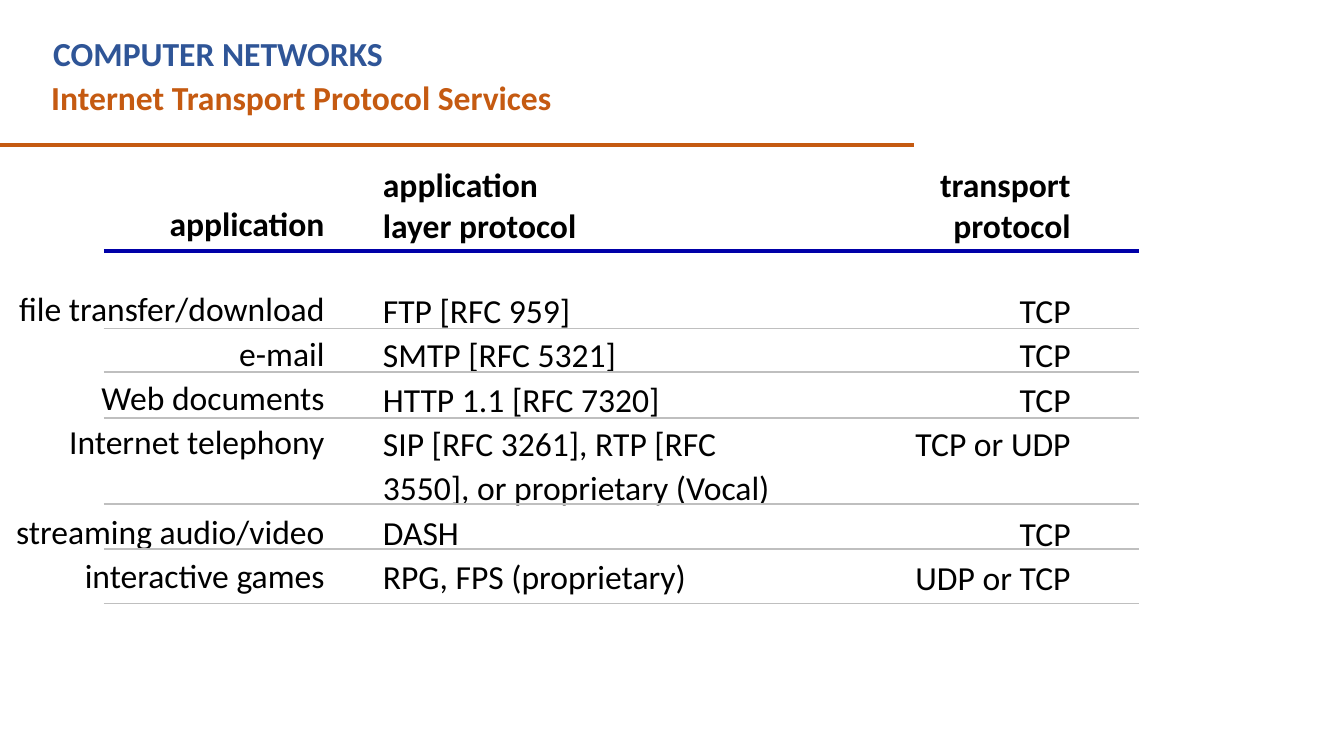
from pptx import Presentation
from pptx.dml.color import RGBColor
from pptx.enum.shapes import MSO_CONNECTOR
from pptx.enum.text import MSO_ANCHOR, MSO_AUTO_SIZE, PP_ALIGN
from pptx.oxml.ns import qn
from pptx.util import Cm, Pt
from lxml.etree import SubElement

COLORS = {"course": "2F5597", "accent": "C55A11", "text": "000000",
          "header_rule": "0000A8", "row_rule": "BFBFBF"}
HEADER_LINE = 29.3
ENTRY_SPACING = 1.1
ENTRY_LINE = HEADER_LINE * ENTRY_SPACING


def fill_placeholder(placeholder, box, lines, align=PP_ALIGN.LEFT):
    placeholder.left, placeholder.top, placeholder.width, placeholder.height = map(Cm, box)
    frame = placeholder.text_frame
    frame.word_wrap = True
    frame.auto_size = MSO_AUTO_SIZE.NONE
    frame.vertical_anchor = MSO_ANCHOR.TOP
    frame.margin_left = frame.margin_right = Cm(0.25)
    frame.margin_top = frame.margin_bottom = Cm(0.13)
    frame.text = "\n".join(text for text, *_ in lines)
    for paragraph, (_, bold, color, spacing, gap) in zip(frame.paragraphs, lines):
        properties = paragraph._p.get_or_add_pPr()
        properties.set("marL", "0")
        properties.set("indent", "0")
        SubElement(properties, qn("a:buNone"))
        paragraph.alignment = align
        paragraph.line_spacing = spacing
        paragraph.space_before = Pt(gap)
        paragraph.space_after = Pt(0)
        paragraph.font.name = "Calibri"
        paragraph.font.size = Pt(24)
        paragraph.font.bold = bold
        paragraph.font.color.rgb = RGBColor.from_string(COLORS[color])


def add_rule(left, right, y, color, weight):
    rule = slide.shapes.add_connector(MSO_CONNECTOR.STRAIGHT, Cm(left), Cm(y), Cm(right), Cm(y))
    rule.line.color.rgb = RGBColor.from_string(COLORS[color])
    rule.line.width = Pt(weight)
    SubElement(rule._element.spPr, qn("a:effectLst"))


deck = Presentation()
deck.slide_width, deck.slide_height = Cm(33.87), Cm(19.05)
slide = deck.slides.add_slide(deck.slide_layouts.get_by_name("Comparison"))
course, *column_bodies = list(slide.placeholders)[1:]

add_rule(0, 23.04, 3.66, "accent", 3)
fill_placeholder(course, (1.09, 0.71, 20.83, 1.27),
                 [("COMPUTER NETWORKS", True, "course", 1.0, 0)])
fill_placeholder(slide.shapes.title, (1.04, 1.8, 22.23, 1.27),
                 [("Internet Transport Protocol Services", True, "accent", 1.0, 0)])

add_rule(2.62, 28.7, 6.32, "header_rule", 2.5)
for y in (8.28, 9.37, 10.54, 12.7, 13.84, 15.21):
    add_rule(2.62, 28.7, y, "row_rule", 1.25)

columns = [
    ((-0.03, 4.98, 8.46, 10.16), PP_ALIGN.RIGHT, ["application"],
     ["file transfer/download", "e-mail", "Web documents", "Internet telephony",
      "streaming audio/video", "interactive games"]),
    ((9.4, 4.01, 11.18, 12.29), PP_ALIGN.LEFT, ["application", "layer protocol"],
     ["FTP [RFC 959]", "SMTP [RFC 5321]", "HTTP 1.1 [RFC 7320]",
      "SIP [RFC 3261], RTP [RFC 3550], or proprietary (Vocal)",
      "DASH", "RPG, FPS (proprietary)"]),
    ((21.39, 4.01, 5.84, 11.18), PP_ALIGN.RIGHT, ["transport protocol"],
     ["TCP", "TCP", "TCP", "TCP or UDP", "TCP", "UDP or TCP"]),
]
for body, (box, align, headings, entries) in zip(column_bodies, columns):
    gaps = [HEADER_LINE, 0, 0, 0, ENTRY_LINE if align == PP_ALIGN.RIGHT else 0, 0]
    lines = [(heading, True, "text", 1.0, 0) for heading in headings]
    lines += [(entry, False, "text", ENTRY_SPACING, gap) for entry, gap in zip(entries, gaps)]
    fill_placeholder(body, box, lines, align)

deck.save("out.pptx")
